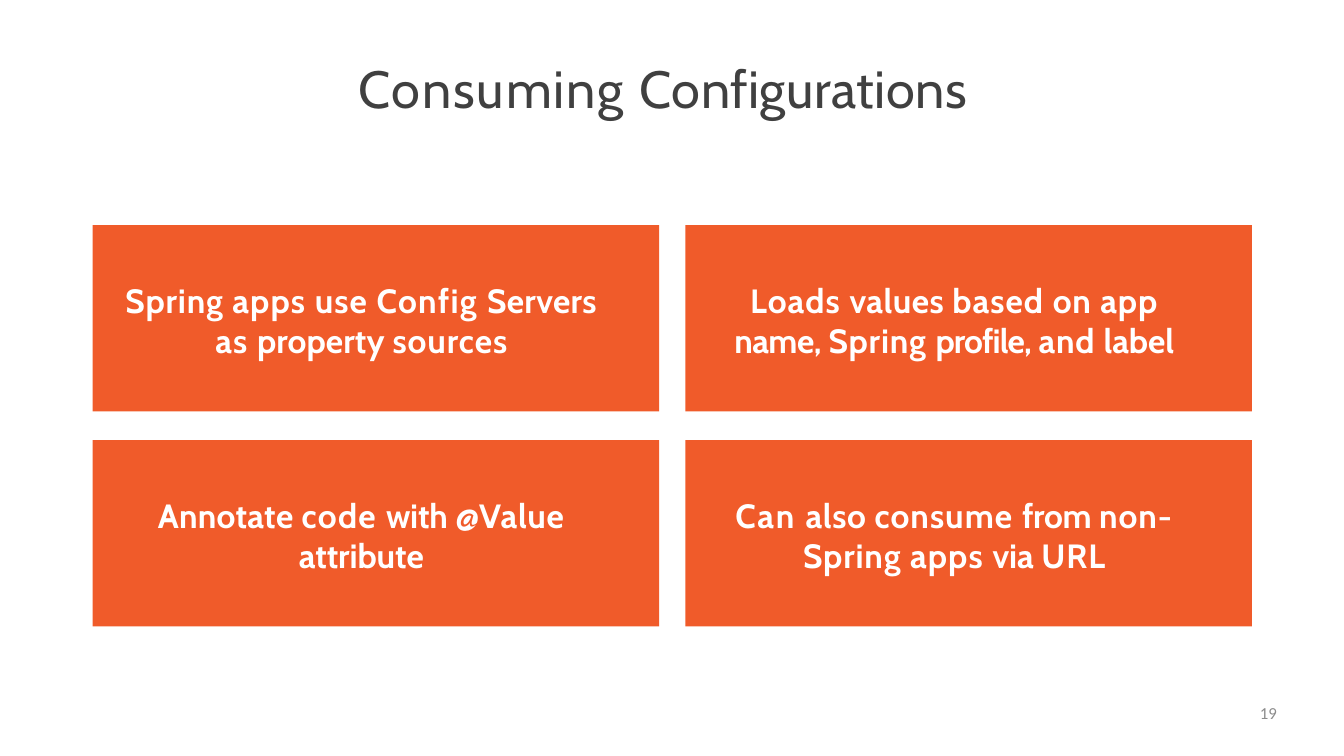
from pptx import Presentation
from pptx.dml.color import RGBColor
from pptx.enum.shapes import MSO_SHAPE as Shape
from pptx.enum.text import MSO_ANCHOR as Anchor, PP_ALIGN as Align
from pptx.util import Pt

ORANGE = RGBColor(0xF0, 0x5B, 0x2A)
WHITE = RGBColor(0xFF, 0xFF, 0xFF)
DARK = RGBColor(0x40, 0x40, 0x40)
GRAY = RGBColor(0x8C, 0x8C, 0x8C)


def set_frame(box, left=0, top=0, right=0):
    frame = box.text_frame
    frame.word_wrap = True
    frame.margin_left, frame.margin_top = Pt(left), Pt(top)
    frame.margin_right, frame.margin_bottom = Pt(right), 0
    return frame


def add_spans(para, spans, font, size, color, bold=False):
    for text, spacing in spans:
        span = para.add_run()
        span.text = text
        span.font.name = font
        span.font.size = Pt(size)
        span.font.bold = bold
        span.font.color.rgb = color
        if spacing:
            span.font._element.set("spc", str(round(spacing * 100)))


deck = Presentation()
deck.slide_width, deck.slide_height = Pt(1440), Pt(810)
page = deck.slides.add_slide(deck.slide_layouts[6])

# Title
title = page.shapes.add_textbox(Pt(384), Pt(59), Pt(672), Pt(69))
para = set_frame(title, top=1).paragraphs[0]
para.space_before = Pt(1.1)
add_spans(para, [("Consuming ", 2), ("Configurations", 0.6)], "Cabin", 56, DARK)

# Cards in a two by two grid, each a list of words with letter spacing
CARDS = [
    [("Spring ", 0.9), ("apps ", 1.2), ("use ", 1.1), ("Config ", 1.4),
     ("Servers ", 0.4), ("as ", 1.2), ("property ", 0.1), ("sources", 1)],
    [("Loads ", 1.1), ("values ", 0.5), ("based ", 1.1), ("on ", 0.9),
     ("app ", 1), ("name, ", -0.6), ("Spring ", 0.9), ("profile, ", -0.9),
     ("and ", 0.8), ("label", -0.1)],
    [("Annotate ", 0.3), ("code ", 1.4), ("with ", -0.2), ("@Value ", 0.8),
     ("attribute", -0.1)],
    [("Can ", 1.9), ("also ", 0.6), ("consume ", 1.1), ("from ", -0.3),
     ("non- ", 1.1), ("Spring ", 0.9), ("apps ", 1.2), ("via ", -0.1),
     ("URL", 1.1)],
]
LEFT, TOP = 99.2, 241.2
WIDTH, HEIGHT = 607, 199.6
STEP_X, STEP_Y = 635.2, 230.4

for index, spans in enumerate(CARDS):
    row, column = divmod(index, 2)
    card = page.shapes.add_shape(
        Shape.RECTANGLE, Pt(LEFT + column * STEP_X), Pt(TOP + row * STEP_Y),
        Pt(WIDTH), Pt(HEIGHT))
    card.shadow.inherit = False
    card.fill.solid()
    card.fill.fore_color.rgb = ORANGE
    card.line.fill.background()
    frame = set_frame(card, left=29, top=4, right=60)
    frame.vertical_anchor = Anchor.MIDDLE
    para = frame.paragraphs[0]
    para.alignment = Align.CENTER
    add_spans(para, spans, "Cabin", 36, WHITE, bold=True)

# Page number
number = page.shapes.add_textbox(Pt(1036.8), Pt(753), Pt(331.2), Pt(40))
para = set_frame(number).paragraphs[0]
para.alignment = Align.RIGHT
add_spans(para, [("19", 0)], "Calibri", 18, GRAY)

deck.save("out.pptx")
